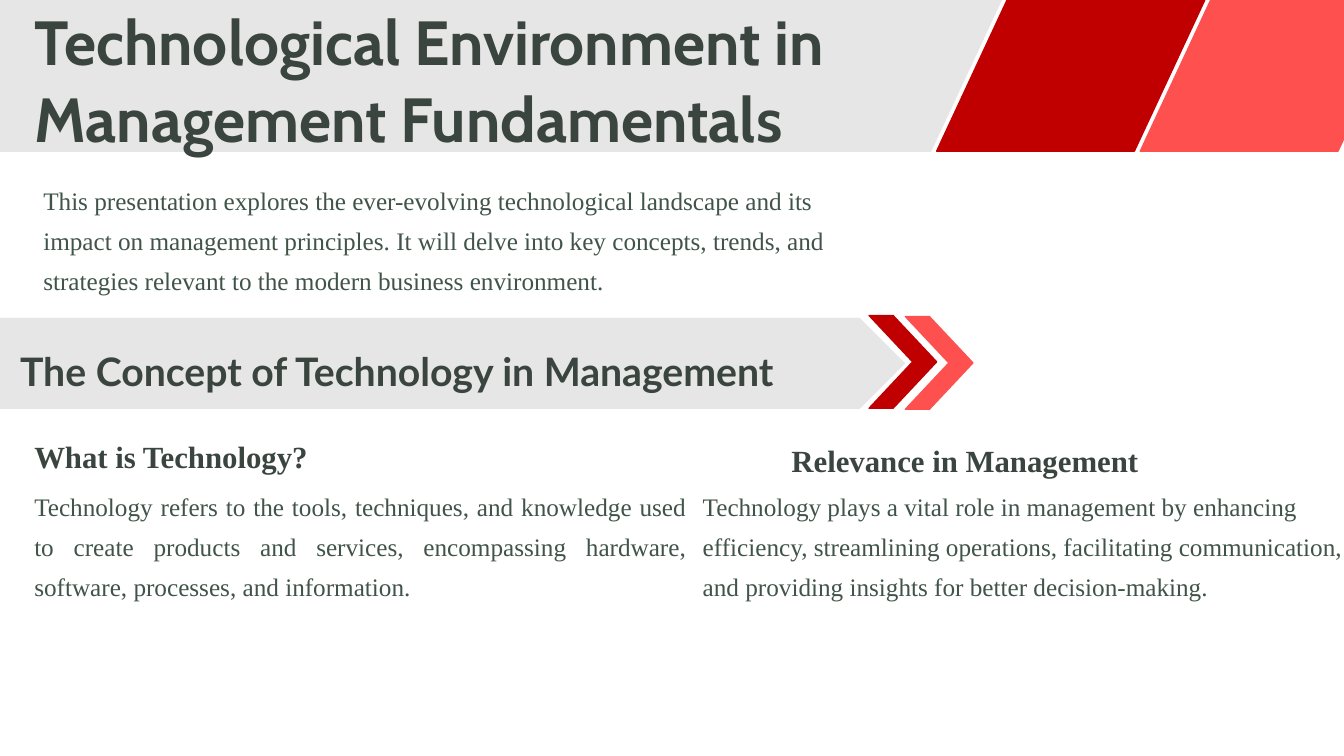
from dataclasses import dataclass

from pptx import Presentation
from pptx.dml.color import RGBColor
from pptx.enum.shapes import MSO_SHAPE
from pptx.enum.text import PP_ALIGN
from pptx.slide import Slide
from pptx.util import Inches, Pt


@dataclass(frozen=True)
class TextStyle:
    font: str
    size: float
    leading: float
    color: str
    bold: bool = False


@dataclass(frozen=True)
class Theme:
    grey: str = "E7E6E6"
    red: str = "C00000"
    coral: str = "FF5050"
    title: TextStyle = TextStyle("Cabin", 44.5, 55.5, "3B4540", True)
    section: TextStyle = TextStyle("Lato", 28, 55.5, "3B4540", True)
    heading: TextStyle = TextStyle("Times New Roman", 22, 27.5, "3B4540", True)
    body: TextStyle = TextStyle("Times New Roman", 18, 28.5, "405449")


@dataclass(frozen=True)
class Band:
    kind: MSO_SHAPE
    left: float
    top: float
    width: float
    height: float
    color: str
    slant: float


@dataclass(frozen=True)
class Copy:
    text: str
    left: float
    top: float
    width: float
    height: float
    style: TextStyle
    align: PP_ALIGN = PP_ALIGN.LEFT


THEME = Theme()
SLANT = 0.466
CHEVRON_POINT = 0.645
LEFT_COLUMN, RIGHT_COLUMN = 0.34, 6.97
BODY_TOP, BODY_HEIGHT = 4.78, 1.59

HEADER_BANDS = [
    Band(MSO_SHAPE.PARALLELOGRAM, left, 0, width, 1.5, color, SLANT)
    for left, width, color in (
        (-0.79, 10.72, THEME.grey),
        (9.29, 2.66, THEME.red),
        (11.31, 2.66, THEME.coral),
    )
]

SECTION_BANDS = [
    Band(MSO_SHAPE.PENTAGON, 0, 3.16, 8.97, 0.89, THEME.grey, 0.5),
    Band(MSO_SHAPE.CHEVRON, 8.62, 3.13, 0.67, 0.92, THEME.red, CHEVRON_POINT),
    Band(MSO_SHAPE.CHEVRON, 8.98, 3.14, 0.67, 0.92, THEME.coral, CHEVRON_POINT),
]

COPIES = [
    Copy("Technological Environment in Management Fundamentals",
         LEFT_COLUMN, 0, 8.26, 3.1, THEME.title),
    Copy("This presentation explores the ever-evolving technological landscape "
         "and its impact on management principles. It will delve into key "
         "concepts, trends, and strategies relevant to the modern business "
         "environment.",
         0.43, 1.74, 8.26, BODY_HEIGHT, THEME.body),
    Copy("The Concept of Technology in Management",
         0.2, 3.14, 8.26, 0.78, THEME.section),
    Copy("What is Technology?", LEFT_COLUMN, 4.33, 3.27, 0.39, THEME.heading),
    Copy("Relevance in Management", 7.85, 4.37, 4.1, 0.39, THEME.heading),
    Copy("Technology refers to the tools, techniques, and knowledge used to "
         "create products and services, encompassing hardware, software, "
         "processes, and information.",
         LEFT_COLUMN, BODY_TOP, 6.47, BODY_HEIGHT, THEME.body, PP_ALIGN.JUSTIFY),
    Copy("Technology plays a vital role in management by enhancing efficiency, "
         "streamlining operations, facilitating communication, and providing "
         "insights for better decision-making.",
         RIGHT_COLUMN, BODY_TOP, 6.36, BODY_HEIGHT, THEME.body),
]


def draw_band(page: Slide, band: Band) -> None:
    shape = page.shapes.add_shape(
        band.kind, Inches(band.left), Inches(band.top),
        Inches(band.width), Inches(band.height))
    shape.adjustments[0] = band.slant
    shape.shadow.inherit = False
    color = RGBColor.from_string(band.color)
    shape.fill.solid()
    shape.fill.fore_color.rgb = color
    shape.line.color.rgb = color
    shape.line.width = Pt(1)


def draw_copy(page: Slide, copy: Copy) -> None:
    box = page.shapes.add_textbox(
        Inches(copy.left), Inches(copy.top),
        Inches(copy.width), Inches(copy.height))
    frame = box.text_frame
    frame.word_wrap = True
    frame.margin_left = frame.margin_right = Inches(0)
    frame.margin_top = frame.margin_bottom = Inches(0)
    para = frame.paragraphs[0]
    para.alignment = copy.align
    para.line_spacing = Pt(copy.style.leading)
    span = para.add_run()
    span.text = copy.text
    span.font.name = copy.style.font
    span.font.size = Pt(copy.style.size)
    span.font.bold = copy.style.bold
    span.font.color.rgb = RGBColor.from_string(copy.style.color)


def main() -> None:
    deck = Presentation()
    deck.slide_width, deck.slide_height = Inches(13.33), Inches(7.5)
    page = deck.slides.add_slide(deck.slide_layouts[6])

    # Header and section banners
    for band in HEADER_BANDS + SECTION_BANDS:
        draw_band(page, band)

    # Title, introduction and the two columns
    for copy in COPIES:
        draw_copy(page, copy)

    deck.save("out.pptx")


if __name__ == "__main__":
    main()
